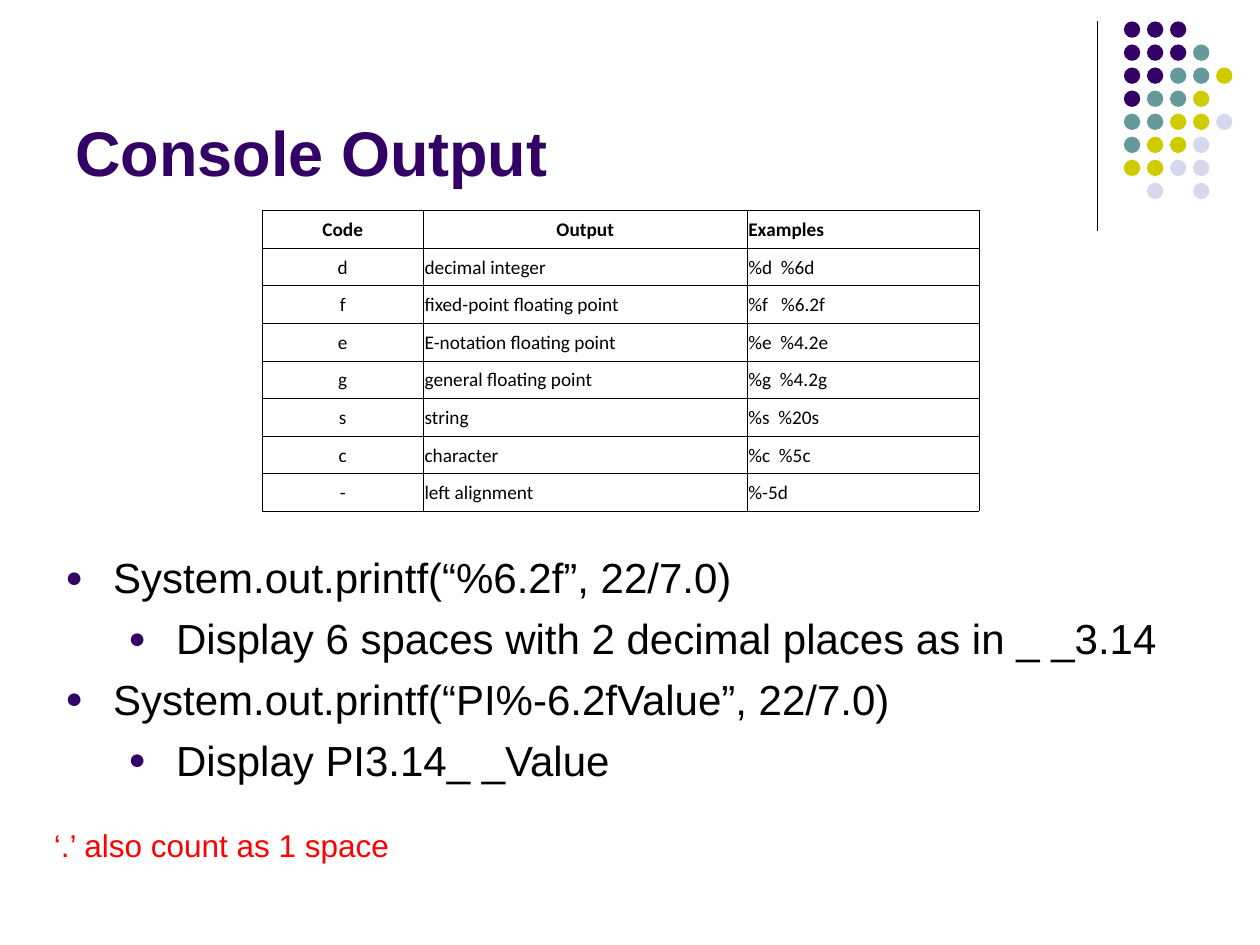
from lxml.etree import SubElement
from pptx import Presentation
from pptx.dml.color import RGBColor
from pptx.enum.shapes import MSO_CONNECTOR as CONNECTOR, MSO_SHAPE as SHAPE
from pptx.enum.text import MSO_ANCHOR as ANCHOR, PP_ALIGN as ALIGN
from pptx.oxml.ns import qn
from pptx.util import Inches, Pt

PURPLE = RGBColor(0x33, 0x00, 0x66)
TEAL = RGBColor(0x66, 0x99, 0x99)
OLIVE = RGBColor(0xCC, 0xCC, 0x00)
LAVENDER = RGBColor(0xD8, 0xD8, 0xEC)
BLACK = RGBColor(0x00, 0x00, 0x00)
RED = RGBColor(0xFF, 0x00, 0x00)

DOT_COLORS = {"P": PURPLE, "T": TEAL, "O": OLIVE, "L": LAVENDER}
DOT_ROWS = ["PPP", "PPPT", "PPTTO", "PTTO", "TTOOL", "TOOL", "OOLL", " L L"]

FORMAT_CODES = [
    ("Code", "Output", "Examples"),
    ("d", "decimal integer", "%d  %6d"),
    ("f", "fixed-point floating point", "%f   %6.2f"),
    ("e", "E-notation floating point", "%e  %4.2e"),
    ("g", "general floating point", "%g  %4.2g"),
    ("s", "string", "%s  %20s"),
    ("c", "character", "%c  %5c"),
    ("-", "left alignment", "%-5d"),
]
COLUMN_WIDTHS = [1.28, 2.57, 1.84]

PRINTF_POINTS = [
    (0, "System.out.printf(“%6.2f”, 22/7.0)"),
    (1, "Display 6 spaces with 2 decimal places as in _ _3.14"),
    (0, "System.out.printf(“PI%-6.2fValue”, 22/7.0)"),
    (1, "Display PI3.14_ _Value"),
]


def style_text(paragraph, size, color, font="Arial", bold=False):
    for run in paragraph.runs:
        run.font.name = font
        run.font.size = Pt(size)
        run.font.bold = bold
        run.font.color.rgb = color


def add_text(slide, left, top, width, height, lines, size, color,
             bold=False, anchor=ANCHOR.TOP):
    box = slide.shapes.add_textbox(
        Inches(left), Inches(top), Inches(width), Inches(height))
    frame = box.text_frame
    frame.word_wrap = True
    frame.vertical_anchor = anchor
    frame.text = "\n".join(lines)
    for paragraph in frame.paragraphs:
        style_text(paragraph, size, color, bold=bold)
    return frame


def add_bullet(paragraph, level):
    paragraph.level = level
    paragraph.space_before = Pt(6)
    props = paragraph._p.get_or_add_pPr()
    props.set("marL", str(Inches(0.38 + 0.5 * level)))
    props.set("indent", str(Inches(-0.38)))
    bullet_color = SubElement(props, qn("a:buClr"))
    SubElement(bullet_color, qn("a:srgbClr"), val=str(PURPLE))
    SubElement(props, qn("a:buSzPct"), val="70000")
    SubElement(props, qn("a:buFont"), typeface="Arial")
    SubElement(props, qn("a:buChar"), char="●")


def add_divider(slide):
    divider = slide.shapes.add_connector(
        CONNECTOR.STRAIGHT, Inches(8.71), Inches(0.17), Inches(8.71), Inches(1.83))
    divider.line.color.rgb = BLACK
    divider.line.width = Pt(0.75)
    SubElement(divider._element.spPr, qn("a:effectLst"))


def add_dot_pattern(slide):
    pitch, diameter = 0.183, 0.13
    for row, codes in enumerate(DOT_ROWS):
        for column, code in enumerate(codes):
            if code == " ":
                continue
            dot = slide.shapes.add_shape(
                SHAPE.OVAL, Inches(8.92 + column * pitch), Inches(0.17 + row * pitch),
                Inches(diameter), Inches(diameter))
            dot.shadow.inherit = False
            dot.fill.solid()
            dot.fill.fore_color.rgb = DOT_COLORS[code]
            dot.line.fill.background()


def add_borders(cell):
    props = cell._tc.get_or_add_tcPr()
    for position, side in enumerate(("a:lnL", "a:lnR", "a:lnT", "a:lnB")):
        border = SubElement(props, qn(side), w=str(Pt(0.23)))
        fill = SubElement(border, qn("a:solidFill"))
        SubElement(fill, qn("a:srgbClr"), val=str(BLACK))
        props.insert(position, border)  # borders come before the cell fill


def add_code_table(slide):
    table = slide.shapes.add_table(
        len(FORMAT_CODES), len(COLUMN_WIDTHS),
        Inches(2.08), Inches(1.67), Inches(5.69), Inches(2.39)).table
    table.first_row = False
    table.horz_banding = False
    for column, width in zip(table.columns, COLUMN_WIDTHS):
        column.width = Inches(width)
    for row, texts in enumerate(FORMAT_CODES):
        for column, text in enumerate(texts):
            cell = table.cell(row, column)
            cell.fill.background()
            cell.vertical_anchor = ANCHOR.BOTTOM
            cell.margin_left = cell.margin_right = Inches(0.01)
            cell.margin_top = cell.margin_bottom = Inches(0.05)
            cell.text_frame.text = text
            paragraph = cell.text_frame.paragraphs[0]
            centered = column == 0 or (row == 0 and column == 1)
            paragraph.alignment = ALIGN.CENTER if centered else ALIGN.LEFT
            style_text(paragraph, 11, BLACK, font="Calibri", bold=row == 0)
            add_borders(cell)


def main():
    deck = Presentation()
    deck.slide_width, deck.slide_height = Inches(10), Inches(7.5)
    slide = deck.slides.add_slide(deck.slide_layouts[6])

    # Corner decoration
    add_divider(slide)
    add_dot_pattern(slide)

    # Title and table of format codes
    add_text(slide, 0.5, 0.13, 8.25, 1.42, ["Console Output"], 36, PURPLE,
             bold=True, anchor=ANCHOR.BOTTOM)
    add_code_table(slide)

    # printf examples
    points = add_text(slide, 0.42, 4.33, 9, 2.17,
                      [text for _, text in PRINTF_POINTS], 24, BLACK)
    for paragraph, (level, _) in zip(points.paragraphs, PRINTF_POINTS):
        add_bullet(paragraph, level)

    # Closing note
    add_text(slide, 0.33, 6.51, 5.69, 0.7, ["‘.’ also count as 1 space"], 18, RED)

    deck.save("out.pptx")


if __name__ == "__main__":
    main()
